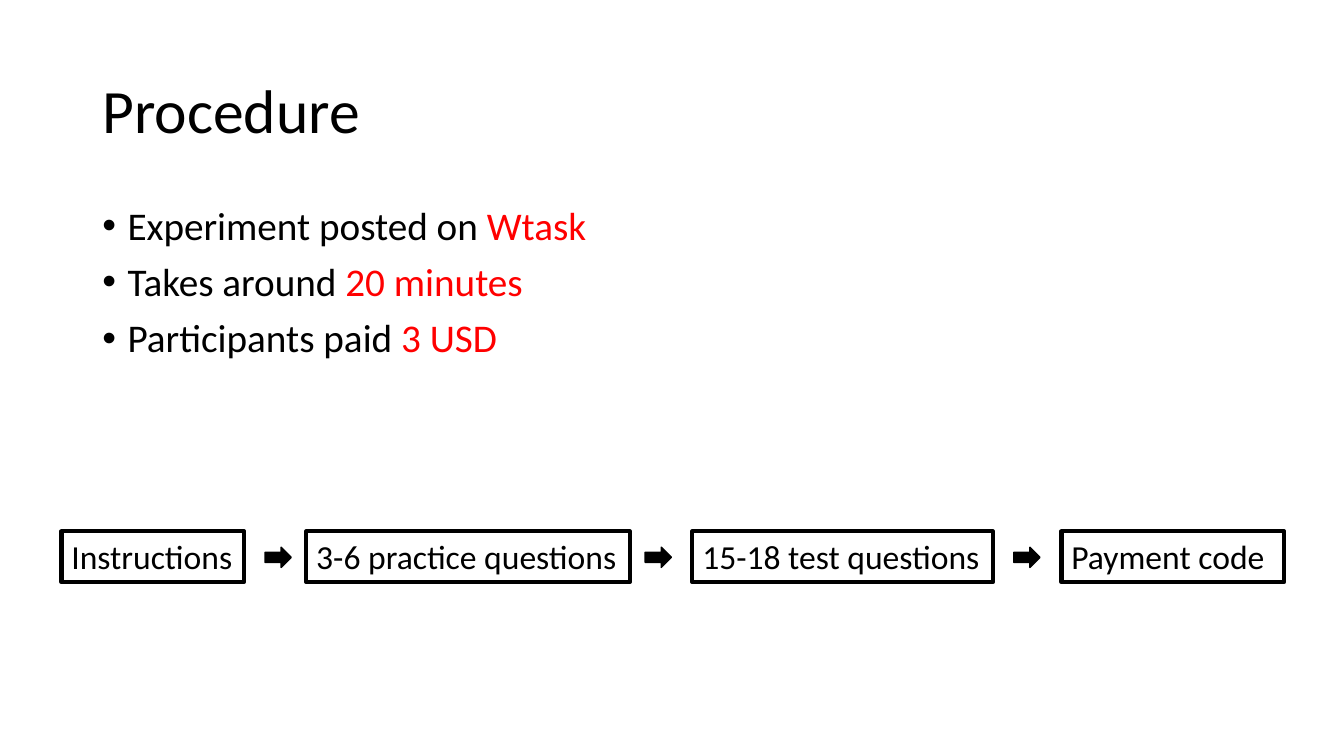
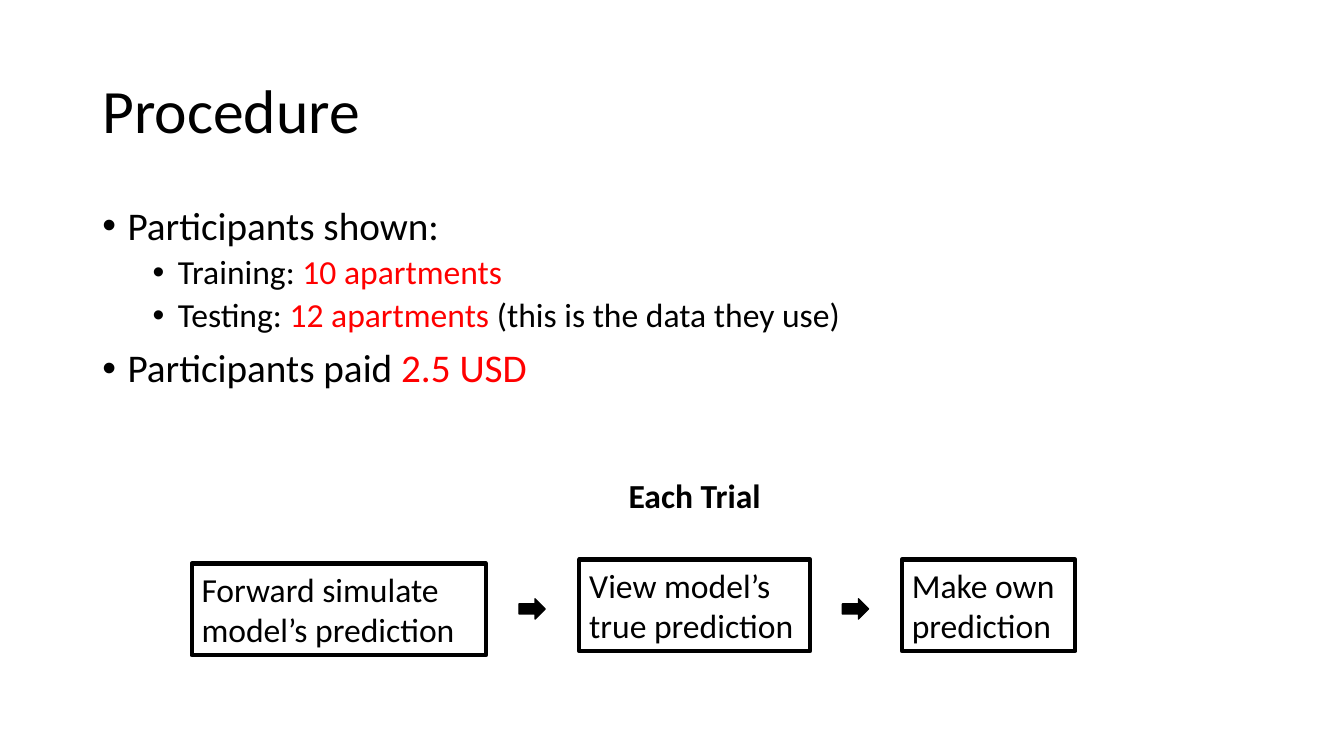
"""Build two slides on the procedure of an experiment."""
from lxml import etree
from pptx import Presentation
from pptx import util as u
from pptx.dml.color import RGBColor
from pptx.enum import shapes, text
from pptx.oxml.ns import qn

HUES = {"ink": "000000", "key": "FF0000"}
FACE = "Calibri"
LEFT, WIDE = 2.33, 29.21


def hue(name):
    return RGBColor.from_string(HUES[name])


def style(para, size, bold=False):
    font = para.font
    font.name, font.size, font.bold = FACE, u.Pt(size), bold
    font.color.rgb = hue("ink")


def label(slide, area, words, size, bold=False):
    box = slide.shapes.add_textbox(*map(u.Cm, area))
    frame = box.text_frame
    frame.word_wrap = True
    para = frame.paragraphs[0]
    para.text = words
    style(para, size, bold)
    return frame


def title(slide, words):
    frame = label(slide, (LEFT, 1.01, WIDE, 3.68), words, 44)
    frame.vertical_anchor = text.MSO_ANCHOR.MIDDLE
    frame.paragraphs[0].line_spacing = 0.9


def bullet(para, level):
    props = para._p.get_or_add_pPr()
    props.set("marL", str(u.Cm(0.635 + 1.27 * level)))
    props.set("indent", str(-u.Cm(0.635)))
    etree.SubElement(props, qn("a:buFont")).set("typeface", "Arial")
    etree.SubElement(props, qn("a:buChar")).set("char", "•")


def points(slide, tall, items):
    area = (LEFT, 5.07, WIDE, tall)
    frame = slide.shapes.add_textbox(*map(u.Cm, area)).text_frame
    frame.word_wrap = True
    for num, (level, words) in enumerate(items):
        para = frame.add_paragraph() if num else frame.paragraphs[0]
        para.level = level
        para.line_spacing = 0.9
        para.space_before = u.Pt(5 if level else 10)
        bullet(para, level)
        style(para, 24 if level else 28)
        for part, chunk in enumerate(words.split("*")):
            if chunk:
                run = para.add_run()
                run.text = chunk
                if part % 2:
                    run.font.color.rgb = hue("key")


def shape(slide, kind, area, line):
    item = slide.shapes.add_shape(kind, *map(u.Cm, area))
    item.shadow.inherit = False
    item.line.color.rgb = hue("ink")
    item.line.width = u.Pt(line)
    return item


def step(slide, area, words):
    box = shape(slide, shapes.MSO_SHAPE.RECTANGLE, area, 3)
    box.fill.background()
    frame = box.text_frame
    frame.word_wrap = True
    frame.margin_right = u.Cm(0.1)
    frame.vertical_anchor = text.MSO_ANCHOR.TOP
    para = frame.paragraphs[0]
    para.text = words
    para.alignment = text.PP_ALIGN.LEFT
    style(para, 24)


def arrows(slide, top, lefts):
    for left in lefts:
        arrow = shape(slide, shapes.MSO_SHAPE.RIGHT_ARROW,
                      (left, top, 0.66, 0.51), 1)
        arrow.fill.solid()
        arrow.fill.fore_color.rgb = hue("ink")


def study(slide):
    points(slide, 4.8, [
        (0, "Experiment posted on *Wtask*"),
        (0, "Takes around *20 minutes*"),
        (0, "Participants paid *3 USD*"),
    ])
    for left, wide, words in [
        (1.55, 4.6, "Instructions"),
        (7.72, 8.15, "3-6 practice questions"),
        (17.45, 7.57, "15-18 test questions"),
        (26.75, 5.61, "Payment code"),
    ]:
        step(slide, (left, 13.39, wide, 1.28), words)
    arrows(slide, 13.79, (6.68, 16.26, 25.55))


def trial(slide):
    points(slide, 8.38, [
        (0, "Participants shown:"),
        (1, "Training: *10 apartments*"),
        (1, "Testing: *12 apartments *(this is the data they use)"),
        (0, "Participants paid *2.5 USD*"),
    ])
    for left, top, wide, words in [
        (4.83, 14.2, 7.42, "Forward simulate model’s prediction"),
        (14.6, 14.1, 5.82, "View model’s true prediction"),
        (22.73, 14.1, 4.37, "Make own prediction"),
    ]:
        step(slide, (left, top, wide, 2.31), words)
    head = label(slide, (15.04, 11.84, 4.93, 1.28), "Each Trial", 24, True)
    head.paragraphs[0].alignment = text.PP_ALIGN.CENTER
    arrows(slide, 15.09, (13.08, 21.23))


def main():
    deck = Presentation()
    deck.slide_width, deck.slide_height = u.Cm(33.87), u.Cm(19.05)
    for fill in (study, trial):
        slide = deck.slides.add_slide(deck.slide_layouts[6])
        title(slide, "Procedure")
        fill(slide)
    deck.save("out.pptx")


if __name__ == "__main__":
    main()
